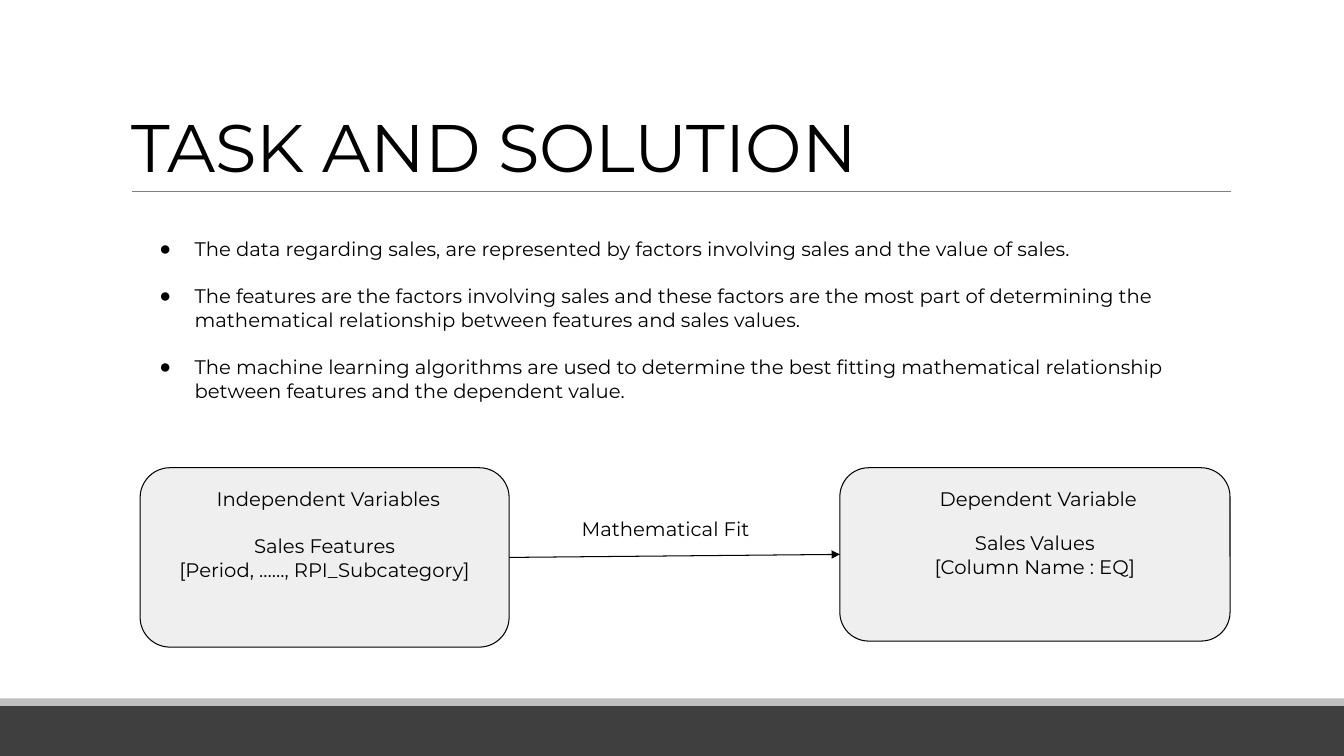
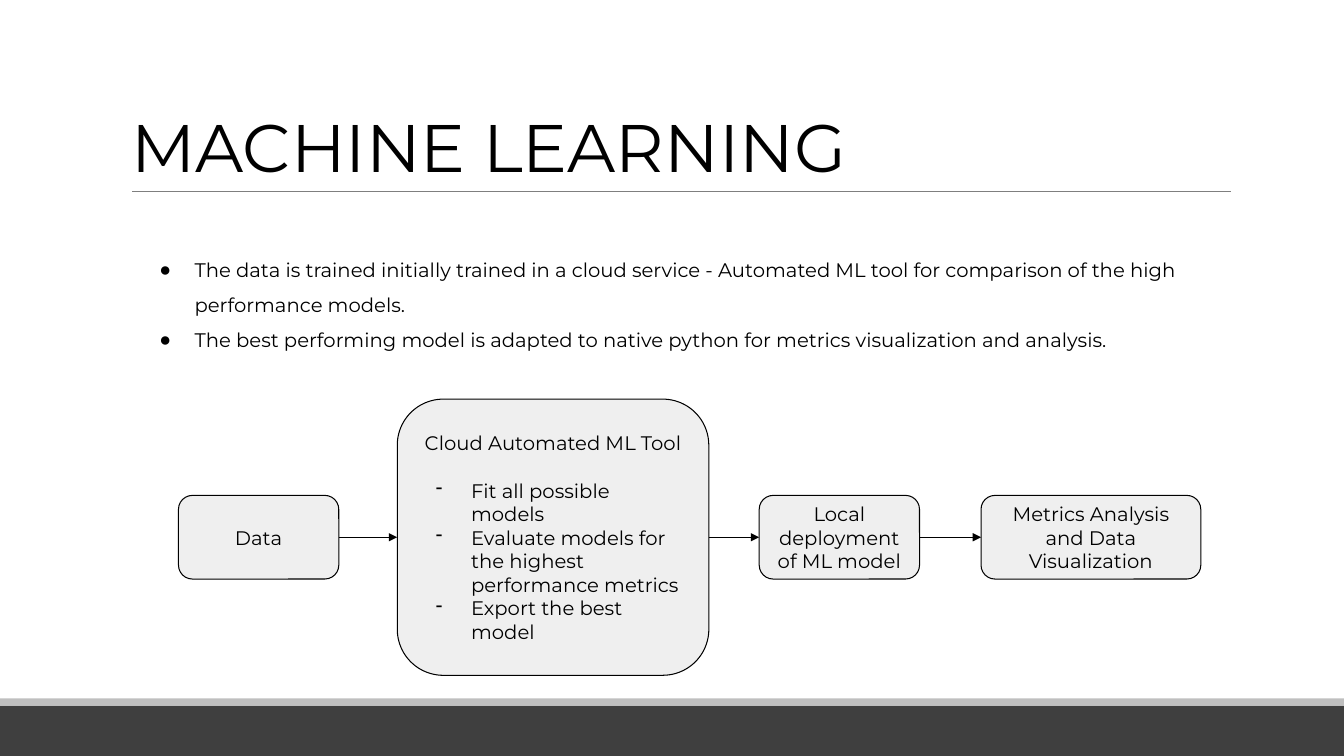
"""Build two slides on modelling sales data."""
import lxml.etree
import pptx
import pptx.dml.color
import pptx.enum.shapes
import pptx.enum.text
import pptx.oxml.ns
import pptx.util

INCH = pptx.util.Inches
ALIGN = pptx.enum.text.PP_ALIGN
ANCHOR = pptx.enum.text.MSO_ANCHOR
SHAPE = pptx.enum.shapes.MSO_SHAPE
FONT = "Montserrat"
SIZE = 14
GAP = 17
HUES = {"text": "000000", "page": "FFFFFF", "card": "EFEFEF",
        "band": "3F3F3F", "edge": "BFBFBF", "rule": "7F7F7F"}
WIDE, HIGH = 13.33, 7.5
TITLE = (1.2, 0.31, 11, 1.59)


def hue(name):
    """Return the named colour."""
    return pptx.dml.color.RGBColor.from_string(HUES[name])


def place(shape, box):
    """Move a shape to a box of left, top, width and height."""
    shape.left, shape.top, shape.width, shape.height = map(INCH, box)


def setup(frame, anchor, inset=0.1):
    """Set the wrap, anchor and insets of a text frame."""
    frame.word_wrap = True
    frame.auto_size = pptx.enum.text.MSO_AUTO_SIZE.NONE
    frame.vertical_anchor = anchor
    frame.margin_left = frame.margin_right = INCH(0.1)
    frame.margin_top = frame.margin_bottom = INCH(inset)


def write(frame, lines, align=ALIGN.LEFT, size=SIZE, lead=1.0, gap=0, mark=None):
    """Add lines as paragraphs, with an optional bullet mark."""
    for line in lines:
        first = not frame.paragraphs[0].runs
        para = frame.paragraphs[0] if first else frame.add_paragraph()
        para.alignment = align
        para.line_spacing = lead
        para.space_before = pptx.util.Pt(0 if first else gap)
        if mark:
            bullet(para, mark)
        run = para.add_run()
        run.text = line
        run.font.name = FONT
        run.font.size = pptx.util.Pt(size)
        run.font.color.rgb = hue("text")


def bullet(para, mark):
    """Give a paragraph a hanging bullet."""
    props = para._p.get_or_add_pPr()
    props.set("marL", str(INCH(0.5)))
    props.set("indent", str(INCH(-0.35)))
    char = lxml.etree.SubElement(props, pptx.oxml.ns.qn("a:buChar"))
    char.set("char", mark)


def line(slide, start, end, tone):
    """Draw a thin straight line between two points."""
    link = slide.shapes.add_connector(
        pptx.enum.shapes.MSO_CONNECTOR.STRAIGHT, *map(INCH, start + end))
    link.line.color.rgb = hue(tone)
    link.line.width = pptx.util.Pt(0.75)
    lxml.etree.SubElement(link._element.spPr, pptx.oxml.ns.qn("a:effectLst"))
    return link


def arrow(slide, source, target):
    """Join the right side of one card to the left side of another."""
    link = line(slide, (0, 0), (1, 1), "text")
    link.begin_connect(source, 3)
    link.end_connect(target, 1)
    tail = lxml.etree.SubElement(link.line._get_or_add_ln(),
                                 pptx.oxml.ns.qn("a:tailEnd"))
    tail.set("type", "triangle")


def band(slide, box, tone):
    """Draw a plain filled band."""
    bar = slide.shapes.add_shape(SHAPE.RECTANGLE, *map(INCH, box))
    bar.shadow.inherit = False
    bar.fill.solid()
    bar.fill.fore_color.rgb = hue(tone)
    bar.line.fill.background()


def card(slide, box, lines):
    """Draw a rounded card with centred lines."""
    shape = slide.shapes.add_shape(SHAPE.ROUNDED_RECTANGLE, *map(INCH, box))
    shape.shadow.inherit = False
    shape.fill.solid()
    shape.fill.fore_color.rgb = hue("card")
    shape.line.color.rgb = hue("text")
    shape.line.width = pptx.util.Pt(0.75)
    setup(shape.text_frame, ANCHOR.MIDDLE)
    write(shape.text_frame, lines, ALIGN.CENTER)
    return shape


def label(slide, box, text):
    """Add a line of free text."""
    frame = slide.shapes.add_textbox(*map(INCH, box)).text_frame
    setup(frame, ANCHOR.TOP)
    write(frame, [text])


def base(deck, title, box, points, **style):
    """Add a slide with the shared bands, title, rule and list."""
    slide = deck.slides.add_slide(deck.slide_layouts[1])
    slide.background.fill.solid()
    slide.background.fill.fore_color.rgb = hue("page")
    band(slide, (0, 7, WIDE, 0.5), "band")
    band(slide, (0, 6.93, WIDE, 0.07), "edge")
    line(slide, (1.31, 1.9), (12.21, 1.9), "rule")
    head, body = slide.placeholders
    place(head, TITLE)
    setup(head.text_frame, ANCHOR.BOTTOM, 0.05)
    write(head.text_frame, [title], size=48, lead=0.85)
    place(body, box)
    setup(body.text_frame, ANCHOR.TOP)
    write(body.text_frame, points, mark="●", **style)
    return slide


def fit(slide, box):
    """Draw the two variable cards and the fit between them."""
    left, top, width, height = box
    cause = card(slide, (left, top, 3.66, height),
                 ["Sales Features", "[Period, ……, RPI_Subcategory]"])
    effect = card(slide, (left + width - 3.87, top, 3.87, height - 0.06),
                  ["Sales Values", "[Column Name : EQ]"])
    label(slide, (left + 0.66, top + 0.09, 2.51, 0.5), "Independent Variables")
    label(slide, (left + 7.83, top + 0.09, 2.39, 0.5), "Dependent Variable")
    label(slide, (left + 4.28, top + 0.39, 2.04, 0.5), "Mathematical Fit")
    arrow(slide, cause, effect)


def flow(slide, box):
    """Draw the chain of steps, centred on the middle of the box."""
    left, top, width, height = box
    steps = [(0, 1.59, 0.83, "Data"),
             (2.17, 3.09, height, "Cloud Automated ML Tool"),
             (5.76, 1.59, 0.83, "Local deployment of ML model"),
             (width - 2.18, 2.18, 0.83, "Metrics Analysis and Data Visualization")]
    cards = [card(slide, (left + x, top + (height - h) / 2, w, h), [text])
             for x, w, h, text in steps]
    frame = cards[1].text_frame
    tasks = ["Fit all possible models",
             "Evaluate models for the highest performance metrics",
             "Export the best model"]
    write(frame, tasks[:1], gap=GAP, mark="-")
    write(frame, tasks[1:], mark="-")
    for source, target in zip(cards, cards[1:]):
        arrow(slide, source, target)


def main():
    """Build and save the deck."""
    deck = pptx.Presentation()
    deck.slide_width, deck.slide_height = INCH(WIDE), INCH(HIGH)
    task = base(deck, "TASK AND SOLUTION", (1.33, 2.25, 10.87, 2.05), [
        "The data regarding sales, are represented by factors involving sales "
        "and the value of sales.",
        "The features are the factors involving sales and these factors are the "
        "most part of determining the mathematical relationship between "
        "features and sales values.",
        "The machine learning algorithms are used to determine the best fitting "
        "mathematical relationship between features and the dependent value.",
    ], gap=GAP)
    fit(task, (1.39, 4.64, 10.81, 1.78))
    learn = base(deck, "MACHINE LEARNING", (1.33, 2.34, 10.87, 1.17), [
        "The data is trained initially trained in a cloud service - Automated "
        "ML tool for comparison of the high performance models.",
        "The best performing model is adapted to native python for metrics "
        "visualization and analysis.",
    ], lead=1.5)
    flow(learn, (1.77, 3.96, 10.14, 2.74))
    deck.save("out.pptx")


if __name__ == "__main__":
    main()
